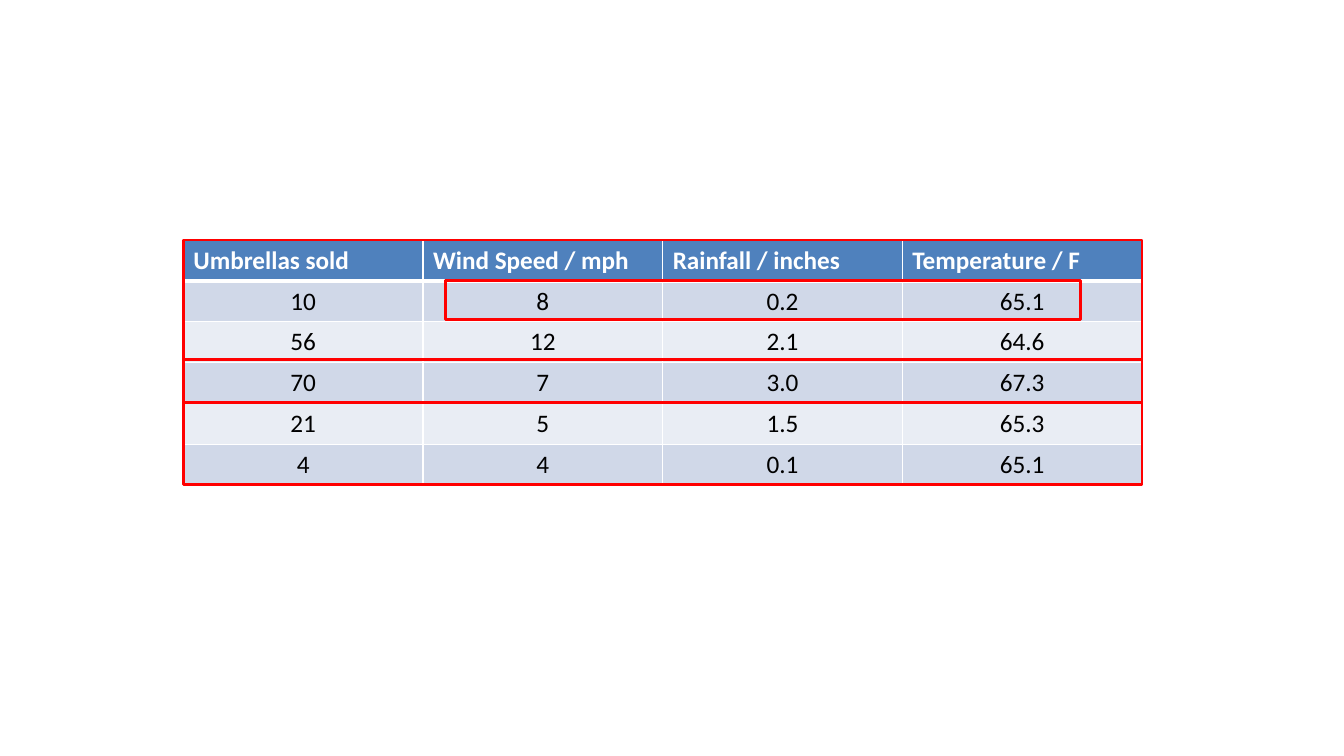
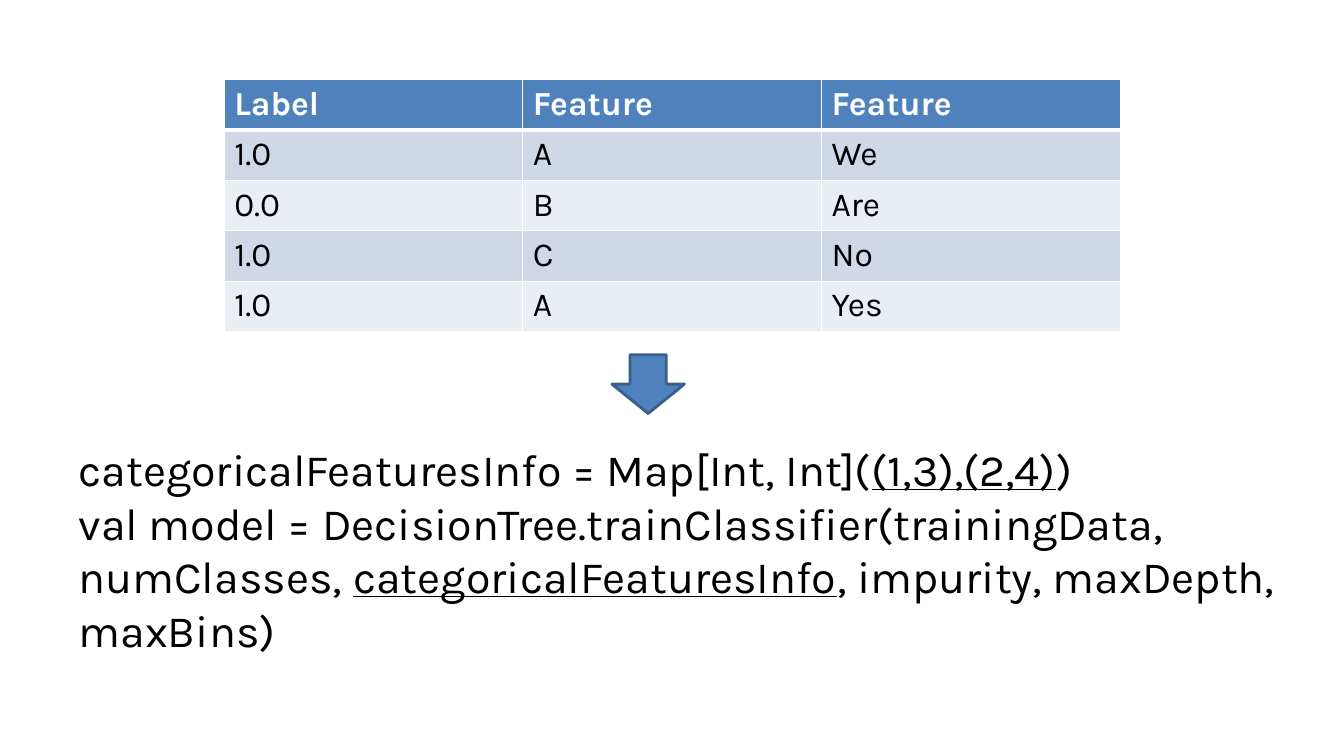
from dataclasses import dataclass

from lxml import etree
from pptx import Presentation
from pptx.dml.color import RGBColor
from pptx.enum.shapes import MSO_SHAPE
from pptx.enum.text import MSO_ANCHOR, MSO_AUTO_SIZE, PP_ALIGN
from pptx.oxml.ns import qn
from pptx.util import Cm, Pt

RECTANGLE, DOWN_ARROW = MSO_SHAPE.RECTANGLE, MSO_SHAPE.DOWN_ARROW
LEFT, CENTER = PP_ALIGN.LEFT, PP_ALIGN.CENTER
TOP = MSO_ANCHOR.TOP
GROW = MSO_AUTO_SIZE.SHAPE_TO_FIT_TEXT


@dataclass(frozen=True)
class Theme:
    header: str = "4F81BD"
    band_dark: str = "D0D8E8"
    band_light: str = "E9EDF4"
    grid: str = "FFFFFF"
    header_text: str = "FFFFFF"
    text: str = "000000"
    highlight: str = "FF0000"
    arrow_line: str = "3A5F8C"
    sales_font: str = "Calibri"
    code_font: str = "Karla"
    sales_size: int = 18
    feature_size: int = 24
    code_size: int = 32
    outline: int = 2
    grid_line: int = 1
    header_line: int = 3


@dataclass(frozen=True)
class Box:
    """A region, in centimetres."""
    left: float
    top: float
    width: float
    height: float

    def inner(self, left, top, width, height):
        return Box(self.left + left, self.top + top, width, height)

    def lengths(self):
        return [Cm(v) for v in (self.left, self.top, self.width, self.height)]


THEME = Theme()
PAGE = Box(0, 0, 33.87, 19.05)

SALES = [
    ("Umbrellas sold", "Wind Speed / mph", "Rainfall / inches", "Temperature / F"),
    ("10", "8", "0.2", "65.1"),
    ("56", "12", "2.1", "64.6"),
    ("70", "7", "3.0", "67.3"),
    ("21", "5", "1.5", "65.3"),
    ("4", "4", "0.1", "65.1"),
]
FEATURES = [
    ("Label", "Feature", "Feature"),
    ("1.0", "A", "We"),
    ("0.0", "B", "Are"),
    ("1.0", "C", "No"),
    ("1.0", "A", "Yes"),
]
# Each code line is a list of (text, underlined) pieces
CODE = [
    [("categoricalFeaturesInfo = Map[Int, Int](", False),
     ("(1,3),(2,4)", True),
     (")", False)],
    [("val model = DecisionTree.trainClassifier(trainingData, numClasses, ", False),
     ("categoricalFeaturesInfo", True),
     (", impurity, maxDepth, maxBins)", False)],
]


def rgb(value):
    return RGBColor.from_string(value)


def style_font(font, name, size, color, bold=False):
    font.name, font.size, font.bold = name, Pt(size), bold
    font.color.rgb = rgb(color)


def set_borders(cell, top, bottom):
    """Draw the four cell edges; the side edges use the thin grid line."""
    properties = cell._tc.get_or_add_tcPr()
    widths = {"a:lnL": THEME.grid_line, "a:lnR": THEME.grid_line,
              "a:lnT": top, "a:lnB": bottom}
    for position, (tag, width) in enumerate(widths.items()):
        edge = etree.Element(qn(tag), w=str(Pt(width)))
        fill = etree.SubElement(edge, qn("a:solidFill"))
        etree.SubElement(fill, qn("a:srgbClr"), val=THEME.grid)
        properties.insert(position, edge)


def add_banded_table(slide, box, rows, font, size, body_align):
    table = slide.shapes.add_table(len(rows), len(rows[0]), *box.lengths()).table
    for column in table.columns:
        column.width = Cm(box.width / len(rows[0]))
    for r, values in enumerate(rows):
        table.rows[r].height = Cm(box.height / len(rows))
        is_header = r == 0
        band = THEME.band_dark if r % 2 else THEME.band_light
        for c, value in enumerate(values):
            cell = table.cell(r, c)
            cell.fill.solid()
            cell.fill.fore_color.rgb = rgb(THEME.header if is_header else band)
            set_borders(cell,
                        THEME.header_line if r == 1 else THEME.grid_line,
                        THEME.header_line if is_header else THEME.grid_line)
            cell.text = value
            paragraph = cell.text_frame.paragraphs[0]
            paragraph.alignment = LEFT if is_header else body_align
            style_font(paragraph.font, font, size,
                       THEME.header_text if is_header else THEME.text, is_header)


def add_outlined_shape(slide, box, preset, line, fill=None):
    shape = slide.shapes.add_shape(preset, *box.lengths())
    shape.shadow.inherit = False
    if fill:
        shape.fill.solid()
        shape.fill.fore_color.rgb = rgb(fill)
    else:
        shape.fill.background()
    shape.line.color.rgb = rgb(line)
    shape.line.width = Pt(THEME.outline)


def add_code(slide, box):
    frame = slide.shapes.add_textbox(*box.lengths()).text_frame
    frame.word_wrap = True
    frame.auto_size = GROW
    frame.vertical_anchor = TOP
    for i, pieces in enumerate(CODE):
        paragraph = frame.paragraphs[0] if i == 0 else frame.add_paragraph()
        style_font(paragraph.font, THEME.code_font, THEME.code_size, THEME.text)
        for text, underlined in pieces:
            run = paragraph.add_run()
            run.text = text
            if underlined:
                run.font.underline = True


def build_sales_slide(slide, page):
    sales = page.inner(4.62, 6.05, 24.16, 6.17)
    add_banded_table(slide, sales, SALES, THEME.sales_font, THEME.sales_size, CENTER)

    # Frames around one row's features, one whole row and the whole table
    features = sales.inner(6.61, 1.01, 16, 1)
    row = sales.inner(0, 3.02, sales.width, 1.07)
    for frame in (features, row, sales):
        add_outlined_shape(slide, frame, RECTANGLE, THEME.highlight)


def build_features_slide(slide, page):
    # Code under the table
    add_code(slide, page.inner(1.73, 11, 32.14, 4.37))

    # Training data and the arrow leading to the code
    add_banded_table(slide, page.inner(5.65, 2, 22.58, 6.35), FEATURES,
                     THEME.code_font, THEME.feature_size, LEFT)
    add_outlined_shape(slide, page.inner(15.42, 8.94, 1.83, 1.48), DOWN_ARROW,
                       THEME.arrow_line, THEME.header)


def main():
    deck = Presentation()
    deck.slide_width, deck.slide_height = Cm(PAGE.width), Cm(PAGE.height)
    blank = deck.slide_layouts[6]
    for build in (build_sales_slide, build_features_slide):
        build(deck.slides.add_slide(blank), PAGE)
    deck.save("out.pptx")


if __name__ == "__main__":
    main()
